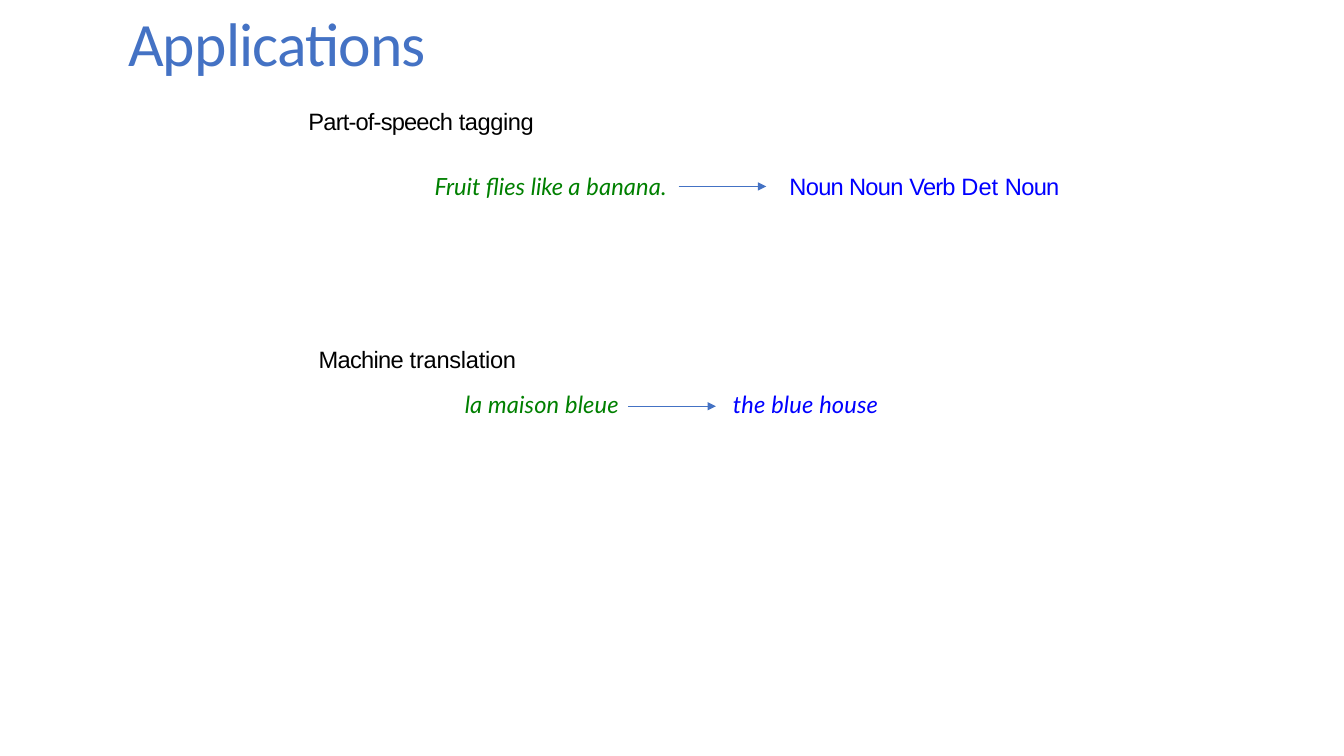
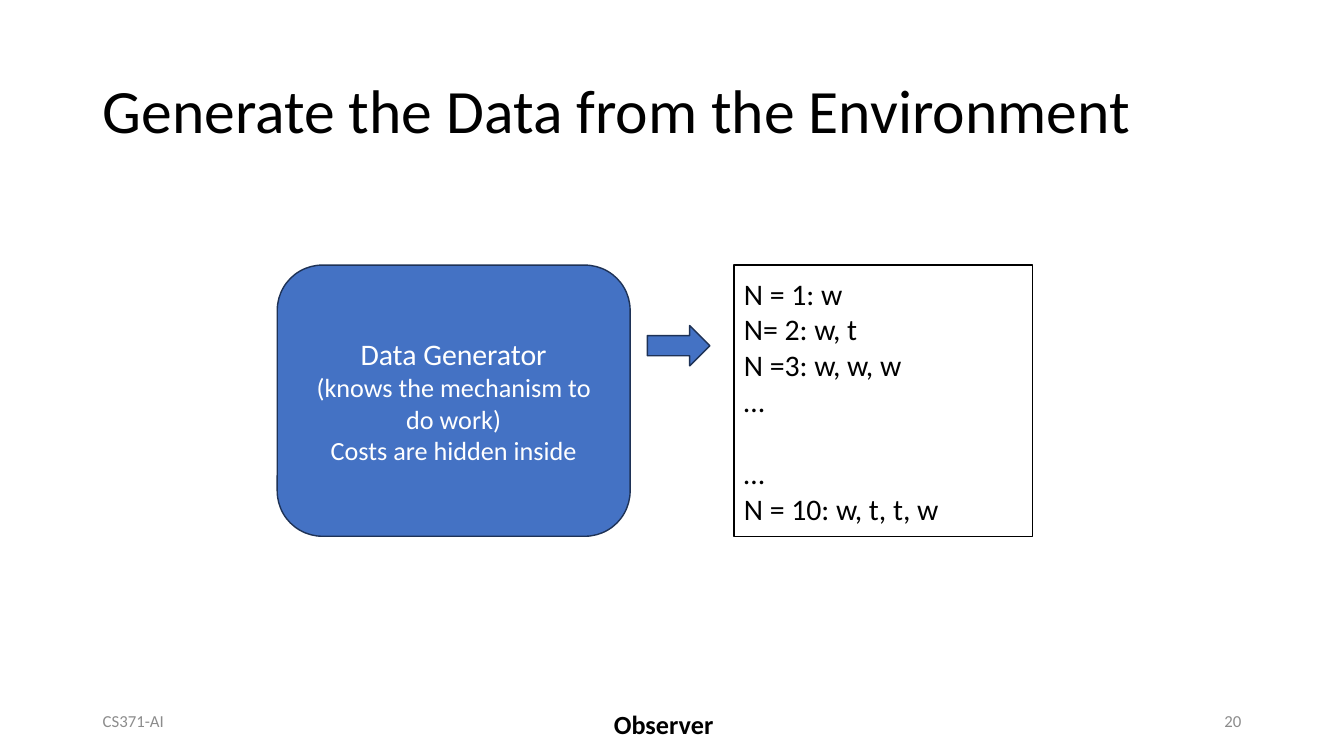
from lxml import etree
from pptx import Presentation
from pptx.dml.color import RGBColor
from pptx.enum.shapes import MSO_CONNECTOR, MSO_SHAPE
from pptx.enum.text import MSO_ANCHOR, PP_ALIGN
from pptx.oxml.ns import qn
from pptx.util import Inches, Pt

LEFT, CENTER, RIGHT = PP_ALIGN.LEFT, PP_ALIGN.CENTER, PP_ALIGN.RIGHT
TOP, MIDDLE = MSO_ANCHOR.TOP, MSO_ANCHOR.MIDDLE
STRAIGHT = MSO_CONNECTOR.STRAIGHT
ROUNDED, RECT, ARROW = (MSO_SHAPE.ROUNDED_RECTANGLE, MSO_SHAPE.RECTANGLE,
                        MSO_SHAPE.RIGHT_ARROW)

COLORS = {"accent": "4472C4", "edge": "1E3256", "black": "000000",
          "white": "FFFFFF", "gray": "8C8C8C", "green": "008000",
          "blue": "0000FF"}
TITLE_SIZE, LABEL_SIZE, BODY_SIZE, SMALL_SIZE, FOOTER_SIZE = 44, 16.9, 21.3, 18.7, 12
TIGHT = (0, 0.01, 0, 0)
INSETS = (0.1, 0.05, 0.1, 0.05)
LABEL_H = 0.3

# Content: a paragraph is a list of (text, letter spacing) runs.
HEADING = dict(font="Arial", color="black")
SOURCE = dict(font="Lato", color="green", italic=True)
TAGS = dict(font="Arial", color="blue")
TRANSLATION = dict(font="Lato", color="blue", italic=True)
LABELS = [  # left, top, width, runs, format
    (3.06, 1.05, 2.5, [("Part-of-speech ", -0.6), ("tagging", -0.3)], HEADING),
    (4.31, 1.7, 2.41, [("Fruit flies ", 0), ("like ", -0.1), ("a banana.", 0.1)], SOURCE),
    (7.83, 1.7, 2.76, [("Noun Noun ", -0.5), ("Verb ", -0.6), ("Det ", 0),
                       ("Noun", -0.5)], TAGS),
    (3.16, 3.41, 2.22, [("Machine ", -0.5), ("translation", -0.2)], HEADING),
    (4.61, 3.86, 1.56, [("la maison bleue", 0.1)], SOURCE),
    (7.27, 3.86, 1.46, [("the blue house", 0.1)], TRANSLATION),
]
ARROW_STARTS = [(6.73, 1.85), (6.23, 4.03)]
ARROW_LENGTH = 0.87

GENERATOR = ["Data Generator", "(knows the mechanism to do work)",
             "Costs are hidden inside"]
SAMPLES = ["N = 1: w", "N= 2: w, t", "N =3: w, w, w", "…", "…", "N = 10: w, t, t, w"]
SAMPLES_GAP = {4: 26}  # one line of space before the second ellipsis
PANEL_TOP, PANEL_H = 2.63, 2.69
MARGIN, FOOTER_Y, FOOTER_W, FOOTER_H = 0.92, 6.95, 3, 0.4

prs = Presentation()
prs.slide_width, prs.slide_height = Inches(13.33), Inches(7.5)


def rgb(name):
    return RGBColor.from_string(COLORS[name])


def box(values):
    return [Inches(v) for v in values]


def write(sp, paragraphs, sizes=BODY_SIZE, font="Calibri", color="black",
          bold=False, italic=False, align=LEFT, anchor=TOP, insets=INSETS,
          wrap=True, line=None, gaps=None):
    """Fill a shape; paragraphs are strings or lists of (text, spacing) runs."""
    tf = sp.text_frame
    tf.word_wrap, tf.vertical_anchor = wrap, anchor
    tf.margin_left, tf.margin_top, tf.margin_right, tf.margin_bottom = box(insets)
    if not isinstance(sizes, list):
        sizes = [sizes] * len(paragraphs)
    for i, (runs, size) in enumerate(zip(paragraphs, sizes)):
        p = tf.add_paragraph() if i else tf.paragraphs[0]
        p.alignment = align
        if line:
            p.line_spacing = line
        if gaps and i in gaps:
            p.space_before = Pt(gaps[i])
        for text, spacing in [(runs, 0)] if isinstance(runs, str) else runs:
            r = p.add_run()
            r.text = text
            r.font.name, r.font.size = font, Pt(size)
            r.font.bold, r.font.italic = bold, italic
            r.font.color.rgb = rgb(color)
            if spacing:
                r._r.get_or_add_rPr().set("spc", str(round(spacing * 100)))


def add_text(s, at, paragraphs, **fmt):
    write(s.shapes.add_textbox(*box(at)), paragraphs, **fmt)


def add_title(s, at, runs, **fmt):
    add_text(s, at, [runs], sizes=TITLE_SIZE, anchor=MIDDLE, **fmt)


def add_panel(s, kind, at, fill="accent", edge="edge"):
    sp = s.shapes.add_shape(kind, *box(at))
    sp.shadow.inherit = False
    sp.fill.solid()
    sp.fill.fore_color.rgb = rgb(fill)
    sp.line.color.rgb, sp.line.width = rgb(edge), Pt(1)
    return sp


def add_arrow(s, x, y):
    c = s.shapes.add_connector(STRAIGHT, *box((x, y, x + ARROW_LENGTH, y)))
    c.line.color.rgb, c.line.width = rgb("accent"), Pt(0.5)
    etree.SubElement(c.line._get_or_add_ln(), qn("a:tailEnd"), type="triangle")
    etree.SubElement(c._element.spPr, qn("a:effectLst"))


def new_slide():
    return prs.slides.add_slide(prs.slide_layouts[6])


def applications():
    s = new_slide()
    add_title(s, (1.27, 0.04, 6.32, 0.75), [("Applications", -0.6)],
              color="accent", insets=TIGHT)
    for x, y, w, runs, fmt in LABELS:
        add_text(s, (x, y, w, LABEL_H), [runs], sizes=LABEL_SIZE, insets=TIGHT, **fmt)
    for x, y in ARROW_STARTS:
        add_arrow(s, x, y)


def data_generation():
    s = new_slide()
    add_title(s, (MARGIN, 0.4, 11.5, 1.45), "Generate the Data from the Environment",
              line=0.9)
    # Footer
    for x, text, align in ((MARGIN, "CS371-AI", LEFT),
                           (13.33 - MARGIN - FOOTER_W, "20", RIGHT)):
        add_text(s, (x, FOOTER_Y, FOOTER_W, FOOTER_H), [text], sizes=FOOTER_SIZE,
                 color="gray", align=align, anchor=MIDDLE)
    # Generator, its samples and the arrow between them
    generator = add_panel(s, ROUNDED, (2.75, PANEL_TOP, 3.5, PANEL_H))
    write(generator, GENERATOR, sizes=[BODY_SIZE, SMALL_SIZE, SMALL_SIZE],
          color="white", align=CENTER, anchor=MIDDLE, insets=(0.23, 0.18, 0.23, 0.18))
    samples = add_panel(s, RECT, (7.28, PANEL_TOP, 2.96, PANEL_H), "white", "black")
    write(samples, SAMPLES, gaps=SAMPLES_GAP, anchor=MIDDLE)
    add_panel(s, ARROW, (6.42, 3.23, 0.62, 0.4))
    add_text(s, (5.99, 6.98, 1.2, 0.42), ["Observer"], sizes=SMALL_SIZE,
             bold=True, wrap=False)


if __name__ == "__main__":
    applications()
    data_generation()
    prs.save("out.pptx")
